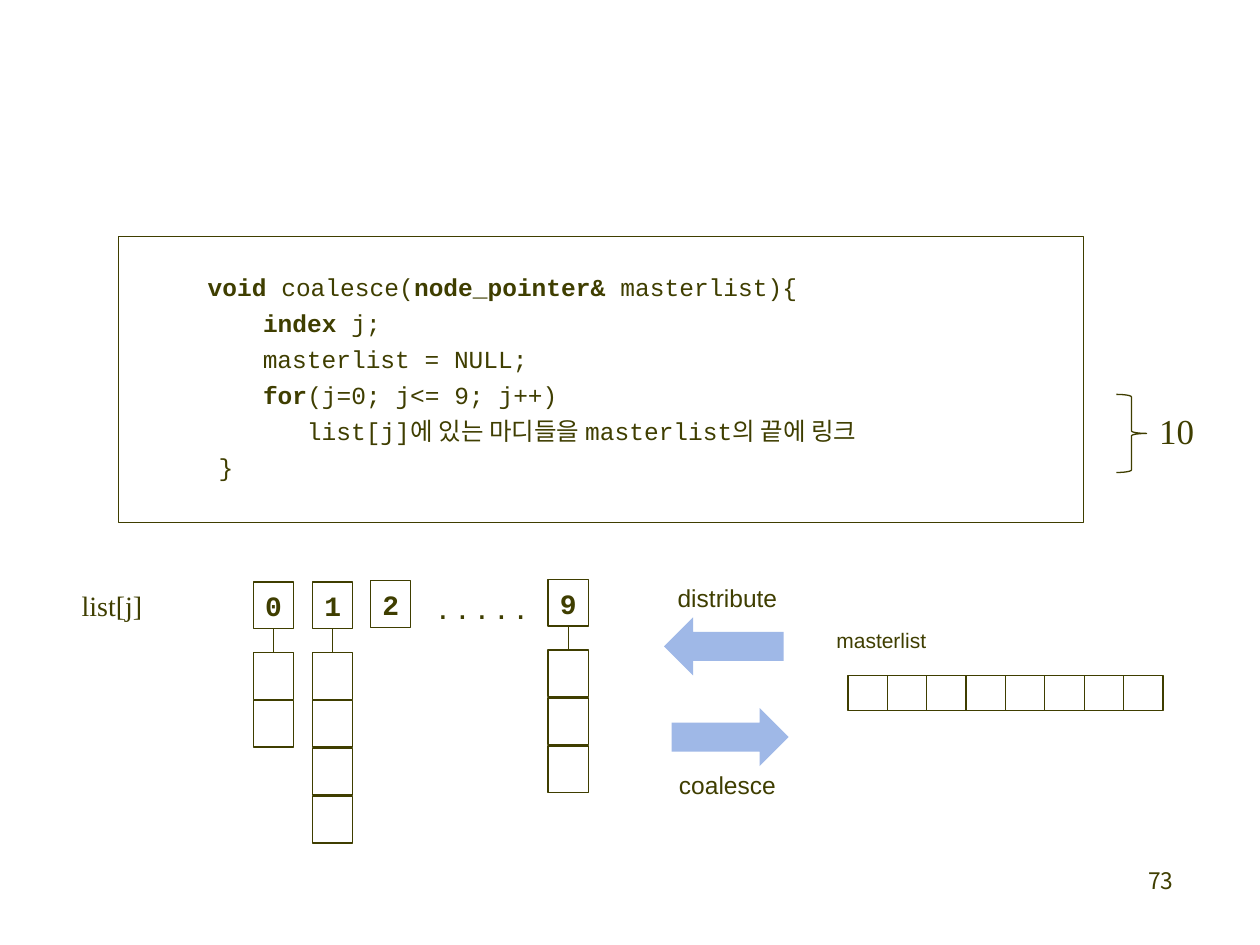
from pptx import Presentation
from pptx.dml.color import RGBColor
from pptx.enum import shapes, text
from pptx.oxml.ns import qn
from pptx.util import Inches, Pt
from lxml import etree

INK = "3F3E00"
ARROW = "9FB8E7"
KOREAN = "Noto Sans CJK KR"
SHAPE = shapes.MSO_SHAPE
ALIGN = text.PP_ALIGN

CODE = [
    [("\t", False), ("void", True), (" coalesce(", False),
     ("node_pointer& ", True), ("masterlist){", False)],
    [("       ", False), ("index", True), (" j;", False)],
    [("       masterlist = NULL;", False)],
    [("       ", False), ("for", True), ("(j=0; j<= 9; j++)", False)],
    [("          list[j]에 있는 마디들을 masterlist의 끝에 링크", False)],
    [("    }", False)],
]
BUCKETS = [("0", 2.01, 4.62, 2), ("1", 2.48, 4.62, 4),
           ("2", 2.94, 4.61, 0), ("9", 4.35, 4.6, 3)]
LABELS = [
    ("10", 9.1, 3.24, 0.48, 0.4, 20, "Times New Roman"),
    (". . . . .", 3.38, 4.59, 0.9, 0.44, 20, "Arial"),
    ("list[j]", 0.55, 4.62, 0.69, 0.37, 16, "Times New Roman"),
    ("masterlist", 6.54, 4.93, 0.92, 0.3, 12, "Arial"),
    ("coalesce", 5.29, 6.06, 0.98, 0.34, 14, "Arial"),
    ("distribute", 5.28, 4.58, 1, 0.34, 14, "Arial"),
]


def color(value):
    return RGBColor.from_string(value)


def add_run(p, content, size, font, bold=False):
    r = p.add_run()
    r.text = content
    r.font.size = Pt(size)
    r.font.name = font
    r.font.bold = bold
    r.font.color.rgb = color(INK)
    ea = etree.SubElement(r.font._element, qn("a:ea"))
    ea.set("typeface", KOREAN)


def add_label(s, content, x, y, w, h, size, font, align=ALIGN.LEFT):
    sp = s.shapes.add_textbox(Inches(x), Inches(y), Inches(w), Inches(h))
    tf = sp.text_frame
    tf.word_wrap = align == ALIGN.RIGHT
    p = tf.paragraphs[0]
    p.alignment = align
    add_run(p, content, size, font)
    return p


def add_shape(s, kind, x, y, w, h, fill=None):
    sp = s.shapes.add_shape(kind, Inches(x), Inches(y), Inches(w), Inches(h))
    sp.shadow.inherit = False
    if fill:
        sp.fill.solid()
        sp.fill.fore_color.rgb = color(fill)
        sp.line.fill.background()
    else:
        sp.fill.background()
        sp.line.color.rgb = color(INK)
        sp.line.width = Pt(0.75)
    return sp


def add_code(s):
    add_shape(s, SHAPE.RECTANGLE, 0.94, 1.88, 7.66, 2.27)
    sp = s.shapes.add_textbox(Inches(1.17), Inches(2.11), Inches(7.34), Inches(1.8))
    tf = sp.text_frame
    tf.word_wrap = True
    for i, line in enumerate(CODE):
        p = tf.paragraphs[0] if i == 0 else tf.add_paragraph()
        pPr = p._p.get_or_add_pPr()
        pPr.set("marL", str(Inches(0.38)))
        pPr.set("indent", str(-Inches(0.38)))
        if i:
            p.space_before = Pt(3.8)
        for content, bold in line:
            add_run(p, content, 14, "Courier New", bold)


def add_link(s, upper, lower):
    cn = s.shapes.add_connector(shapes.MSO_CONNECTOR.STRAIGHT, 0, 0, 0, 0)
    cn.begin_connect(upper, 2)
    cn.end_connect(lower, 0)
    cn.line.color.rgb = color(INK)
    cn.line.width = Pt(0.75)
    etree.SubElement(cn._element.spPr, qn("a:effectLst"))


def add_bucket(s, digit, x, y, count):
    head = add_shape(s, SHAPE.RECTANGLE, x, y, 0.32, 0.37)
    tf = head.text_frame
    tf.margin_left = tf.margin_right = tf.margin_top = tf.margin_bottom = 0
    tf.vertical_anchor = text.MSO_ANCHOR.MIDDLE
    p = tf.paragraphs[0]
    p.alignment = ALIGN.CENTER
    add_run(p, digit, 16, "Courier New", True)
    nodes = [add_shape(s, SHAPE.RECTANGLE, x, y + 0.56 + 0.38 * i, 0.32, 0.37)
             for i in range(count)]
    if nodes:
        add_link(s, head, nodes[0])


def add_masterlist(s, count=8, x=6.73, width=2.5):
    step = width / count
    for i in range(count):
        add_shape(s, SHAPE.RECTANGLE, x + i * step, 5.36, step, 0.28)


def main():
    prs = Presentation()
    prs.slide_width = Inches(10)
    prs.slide_height = Inches(7.5)
    s = prs.slides.add_slide(prs.slide_layouts[6])
    add_label(s, "73", 7.33, 6.83, 2.08, 0.5, 13, KOREAN, ALIGN.RIGHT)
    add_code(s)
    add_shape(s, SHAPE.RIGHT_BRACE, 8.86, 3.13, 0.24, 0.62)
    for bucket in BUCKETS:
        add_bucket(s, *bucket)
    add_masterlist(s)
    add_shape(s, SHAPE.RIGHT_ARROW, 5.33, 5.62, 0.93, 0.46, ARROW)
    distribute = add_shape(s, SHAPE.RIGHT_ARROW, 5.27, 4.9, 0.95, 0.46, ARROW)
    distribute.rotation = 180
    for label in LABELS:
        p = add_label(s, *label)
        if label[0] == "10":
            p.line_spacing = 0.9
    prs.save("out.pptx")


if __name__ == "__main__":
    main()
